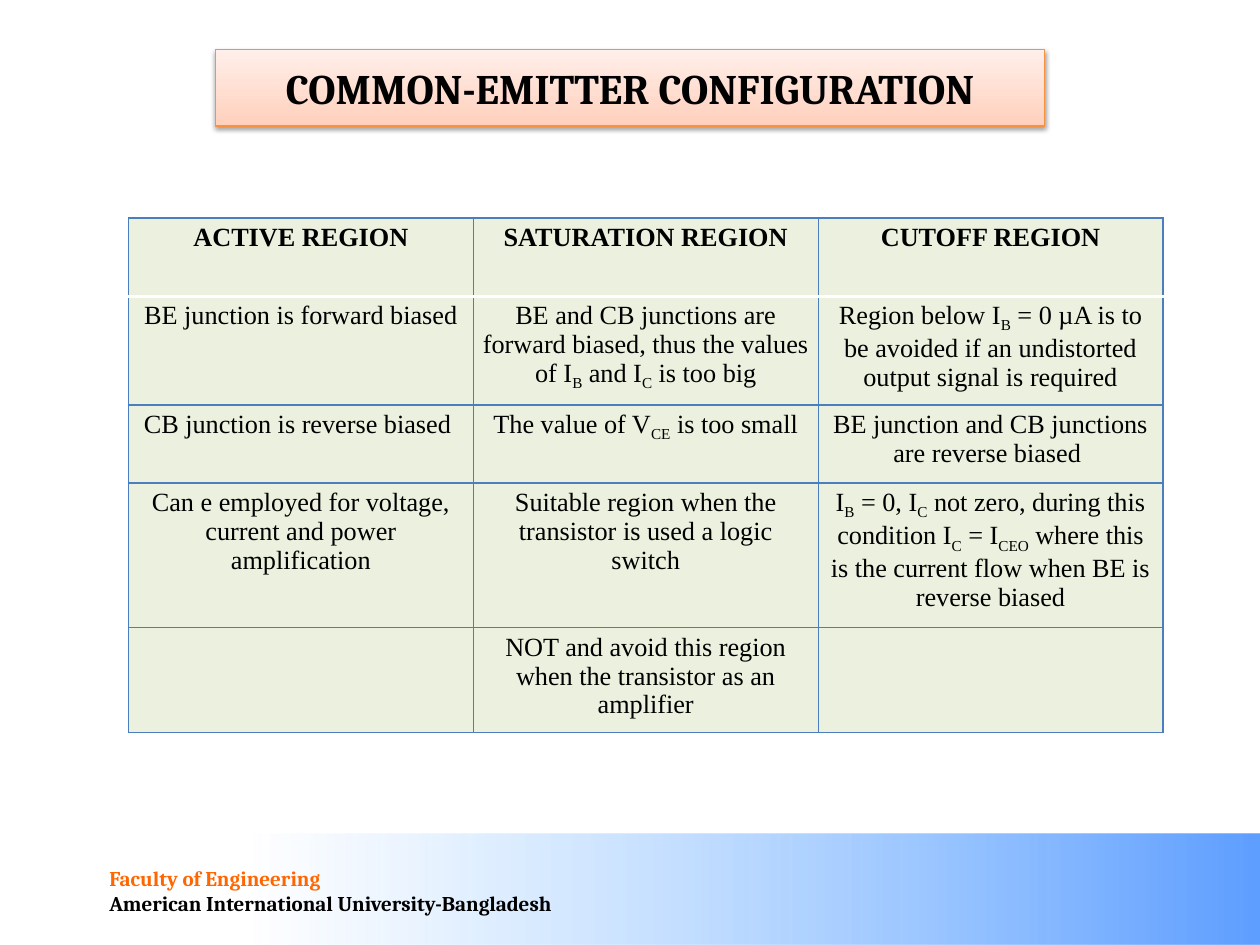
from lxml import etree
from pptx import Presentation
from pptx.dml.color import RGBColor
from pptx.enum.shapes import MSO_SHAPE as Shape
from pptx.enum.text import MSO_ANCHOR as Anchor, MSO_AUTO_SIZE as AutoSize, PP_ALIGN as Align
from pptx.oxml import parse_xml
from pptx.oxml.ns import nsdecls
from pptx.util import Inches, Pt

color = RGBColor.from_string


def write_text(paragraph, text, font="Cambria", size=12, bold=True, fill="000000", align=Align.LEFT):
    paragraph.alignment = align
    for index, part in enumerate(text.split("|")):
        run = paragraph.add_run()
        run.text = part
        run.font.name = font
        run.font.size = Pt(size)
        run.font.bold = bold
        run.font.color.rgb = color(fill)
        if index % 2:
            run._r.get_or_add_rPr().set("baseline", "-25000")


def set_gradient(shape, stops, angle):
    stop_xml = "".join(
        f'<a:gs pos="{position * 1000}"><a:srgbClr val="{value}">'
        f'<a:alpha val="{alpha * 1000}"/></a:srgbClr></a:gs>'
        for position, value, alpha in stops)
    shape.fill.background()
    empty_fill = shape._element.spPr.find("{*}noFill")
    gradient = parse_xml(
        f'<a:gradFill {nsdecls("a")} rotWithShape="1"><a:gsLst>{stop_xml}</a:gsLst>'
        f'<a:lin ang="{angle * 60000}" scaled="0"/></a:gradFill>')
    empty_fill.getparent().replace(empty_fill, gradient)


presentation = Presentation()
presentation.slide_width = Inches(10)
presentation.slide_height = Inches(7.5)
slide = presentation.slides.add_slide(presentation.slide_layouts[5])

band = slide.shapes.add_shape(Shape.RECTANGLE, Inches(0), Inches(6.62), Inches(10), Inches(0.88))
band.shadow.inherit = False
band.line.fill.background()
set_gradient(band, [(0, "5E9EFF", 100), (80, "85C2FF", 0), (100, "85C2FF", 0)], 180)

footer = slide.shapes.add_textbox(Inches(0.77), Inches(6.82), Inches(3.8), Inches(0.51)).text_frame
footer.word_wrap = False
write_text(footer.paragraphs[0], "Faculty of Engineering", fill="FF6600")
write_text(footer.add_paragraph(), "American International University-Bangladesh")

title = slide.shapes.title
title.left, title.top, title.width, title.height = Inches(1.71), Inches(0.39), Inches(6.58), Inches(0.61)
set_gradient(title, [(0, "FFEFEA", 100), (100, "FFD0BC", 100)], 90)
title.line.color.rgb = color("F69240")
title.line.width = Pt(0.75)
title.shadow.inherit = False
title._element.spPr.find("{*}effectLst").append(parse_xml(
    f'<a:outerShdw {nsdecls("a")} blurRad="{Pt(3.1)}" dist="{Pt(1.6)}" dir="5400000" rotWithShape="0">'
    '<a:srgbClr val="000000"><a:alpha val="38000"/></a:srgbClr></a:outerShdw>'))
title_frame = title.text_frame
title_frame.auto_size = AutoSize.NONE
title_frame.vertical_anchor = Anchor.MIDDLE
write_text(title_frame.paragraphs[0], "COMMON-EMITTER CONFIGURATION", size=24, align=Align.CENTER)

rows = [
    ["ACTIVE REGION", "SATURATION REGION", "CUTOFF REGION"],
    ["BE junction is forward biased",
     "BE and CB junctions are forward biased, thus the values of I|B| and I|C| is too big",
     "Region below I|B| = 0 µA is to be avoided if an undistorted output signal is required"],
    ["CB junction is reverse biased ",
     "The value of V|CE| is too small",
     "BE junction and CB junctions are reverse biased "],
    ["Can e employed for voltage, current and power amplification",
     "Suitable region when the transistor is used a logic switch",
     "I|B| = 0, I|C| not zero, during this condition I|C| = I|CEO| where this is the current flow "
     "when BE is reverse biased"],
    ["", "NOT and avoid this region when the transistor as an amplifier", ""],
]
row_heights = [0.62, 0.82, 0.62, 1.07, 0.82]
table = slide.shapes.add_table(
    len(rows), 3, Inches(1.02), Inches(1.73), Inches(8.21), Inches(sum(row_heights))).table
table.first_row = False
table.horz_banding = False

for row_index, (texts, height) in enumerate(zip(rows, row_heights)):
    table.rows[row_index].height = Inches(height)
    for column_index, text in enumerate(texts):
        cell = table.cell(row_index, column_index)
        cell.fill.solid()
        cell.fill.fore_color.rgb = color("EBF1DE")
        cell.margin_left = cell.margin_right = Inches(0.07)
        cell.margin_top = cell.margin_bottom = Inches(0.04)
        if text:
            write_text(cell.text_frame.paragraphs[0], text, font="Times New Roman", size=15,
                       bold=row_index == 0, align=Align.CENTER)
        white_sides = {0: "B", 1: "T"}.get(row_index, "")
        for position, side in enumerate("LRTB"):
            value, width = ("FFFFFF", 2) if side in white_sides else ("4B7EBC", 0.75)
            border = parse_xml(
                f'<a:ln{side} {nsdecls("a")} w="{Pt(width)}"><a:solidFill>'
                f'<a:srgbClr val="{value}"/></a:solidFill></a:ln{side}>')
            cell._tc.get_or_add_tcPr().insert(position, border)

presentation.save("out.pptx")
